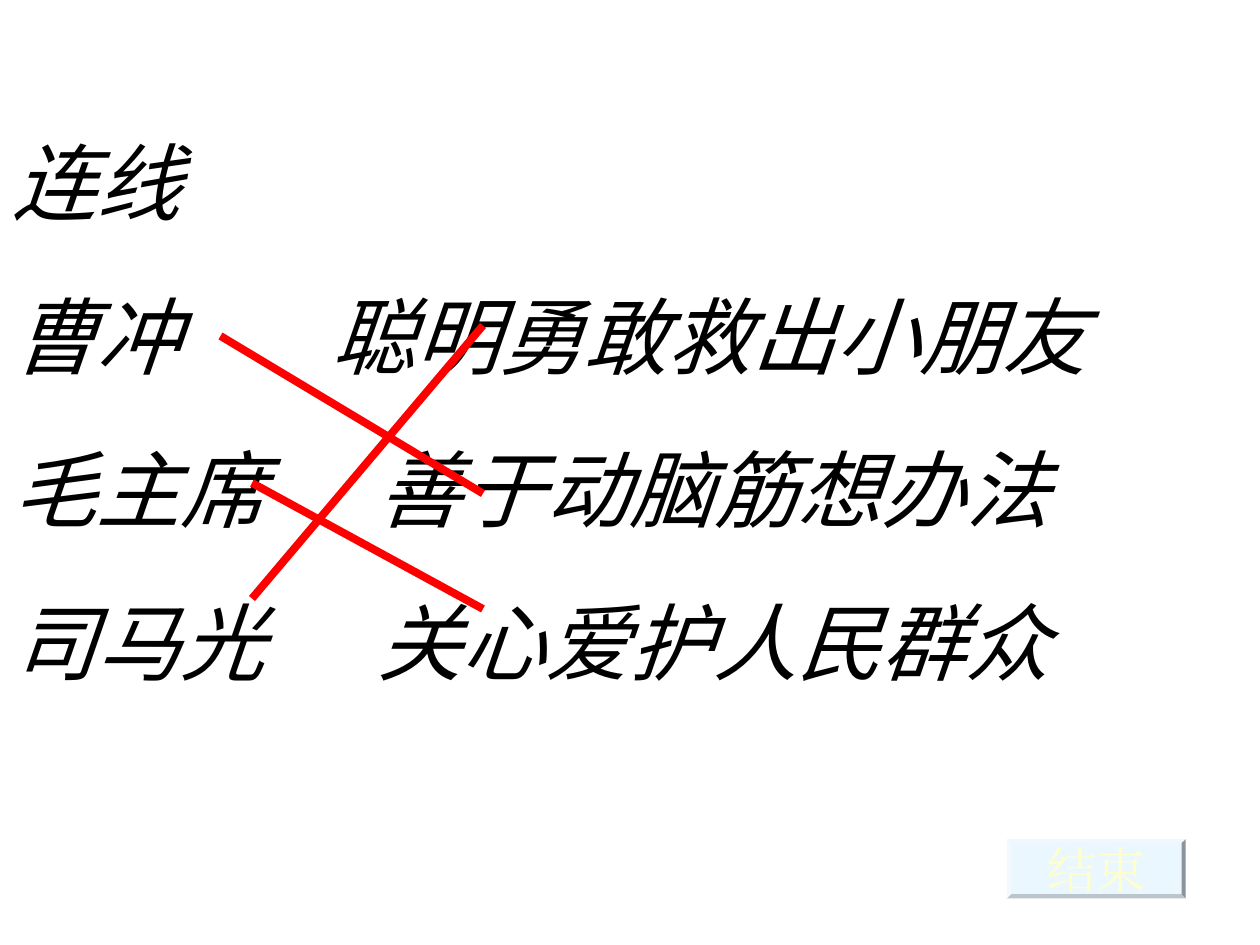
from pptx import Presentation
from pptx.dml.color import RGBColor
from pptx.enum.shapes import MSO_CONNECTOR, MSO_SHAPE
from pptx.enum.text import MSO_ANCHOR, PP_ALIGN
from pptx.oxml import parse_xml
from pptx.oxml.ns import nsdecls, qn
from pptx.util import Inches, Pt

THEME = {
    "ink": RGBColor(0x00, 0x00, 0x00),
    "link": RGBColor(0xFF, 0x00, 0x00),
    "button": RGBColor(0xEB, 0xF7, 0xFF),
    "button_text": RGBColor(0xFF, 0xFF, 0xCC),
    "body_font": "Noto Sans CJK SC",
    "button_font": "Times New Roman",
    "body_size": Pt(48),
    "button_size": Pt(28),
    "line_pitch": Pt(57.6),
    "row_gap": Pt(30),
    "link_width": Pt(4.5),
}

prs = Presentation()
prs.slide_width, prs.slide_height = Inches(10), Inches(7.5)
s = prs.slides.add_slide(prs.slide_layouts[6])
UNIT = prs.slide_width // 120  # grid of 120 columns by 90 rows


def style_run(r, font, size, color):
    r.font.name, r.font.size = font, size
    r.font.color.rgb = color
    ea = parse_xml(f'<a:ea {nsdecls("a")} typeface="{font}"/>')
    r.font._element.find(qn("a:latin")).addnext(ea)


# Heading and the two columns to match: text, tab stop in inches
rows = [
    ("连线", None),
    ("曹冲\t聪明勇敢救出小朋友", 2.53),
    ("毛主席\t善于动脑筋想办法", 2.9),
    ("司马光\t关心爱护人民群众", 2.9),
]
tf = s.shapes.add_textbox(0, Inches(0.99), prs.slide_width, Inches(5.77)).text_frame
tf.word_wrap = True
for i, (text, tab) in enumerate(rows):
    p = tf.paragraphs[0] if i == 0 else tf.add_paragraph()
    p.text = text
    p.alignment = PP_ALIGN.JUSTIFY
    p.line_spacing = THEME["line_pitch"]
    if i:
        p.space_before = THEME["row_gap"]
        p._p.get_or_add_pPr().append(parse_xml(
            f'<a:tabLst {nsdecls("a")}><a:tab pos="{Inches(tab)}" algn="l"/></a:tabLst>'))
    for r in p.runs:
        style_run(r, THEME["body_font"], THEME["body_size"], THEME["ink"])
        r.font.italic = True

# End button
sp = s.shapes.add_shape(MSO_SHAPE.BEVEL, Inches(7.99), Inches(6.66),
                        Inches(1.42), Inches(0.47))
sp.adjustments[0] = 0.07
sp.shadow.inherit = False
sp.fill.solid()
sp.fill.fore_color.rgb = THEME["button"]
sp.line.fill.background()
tf = sp.text_frame
tf.word_wrap = False
tf.vertical_anchor = MSO_ANCHOR.MIDDLE
tf.text = "结束"
p = tf.paragraphs[0]
p.alignment = PP_ALIGN.CENTER
style_run(p.runs[0], THEME["button_font"], THEME["button_size"], THEME["button_text"])

# Matching lines: start column, start row, end column, end row
for ends in [(21, 32, 46, 47), (24, 57, 46, 31), (24, 46, 46, 58)]:
    link = s.shapes.add_connector(MSO_CONNECTOR.STRAIGHT, *(n * UNIT for n in ends))
    link.line.color.rgb = THEME["link"]
    link.line.width = THEME["link_width"]
    link._element.spPr.append(parse_xml(f'<a:effectLst {nsdecls("a")}/>'))

prs.save("out.pptx")
